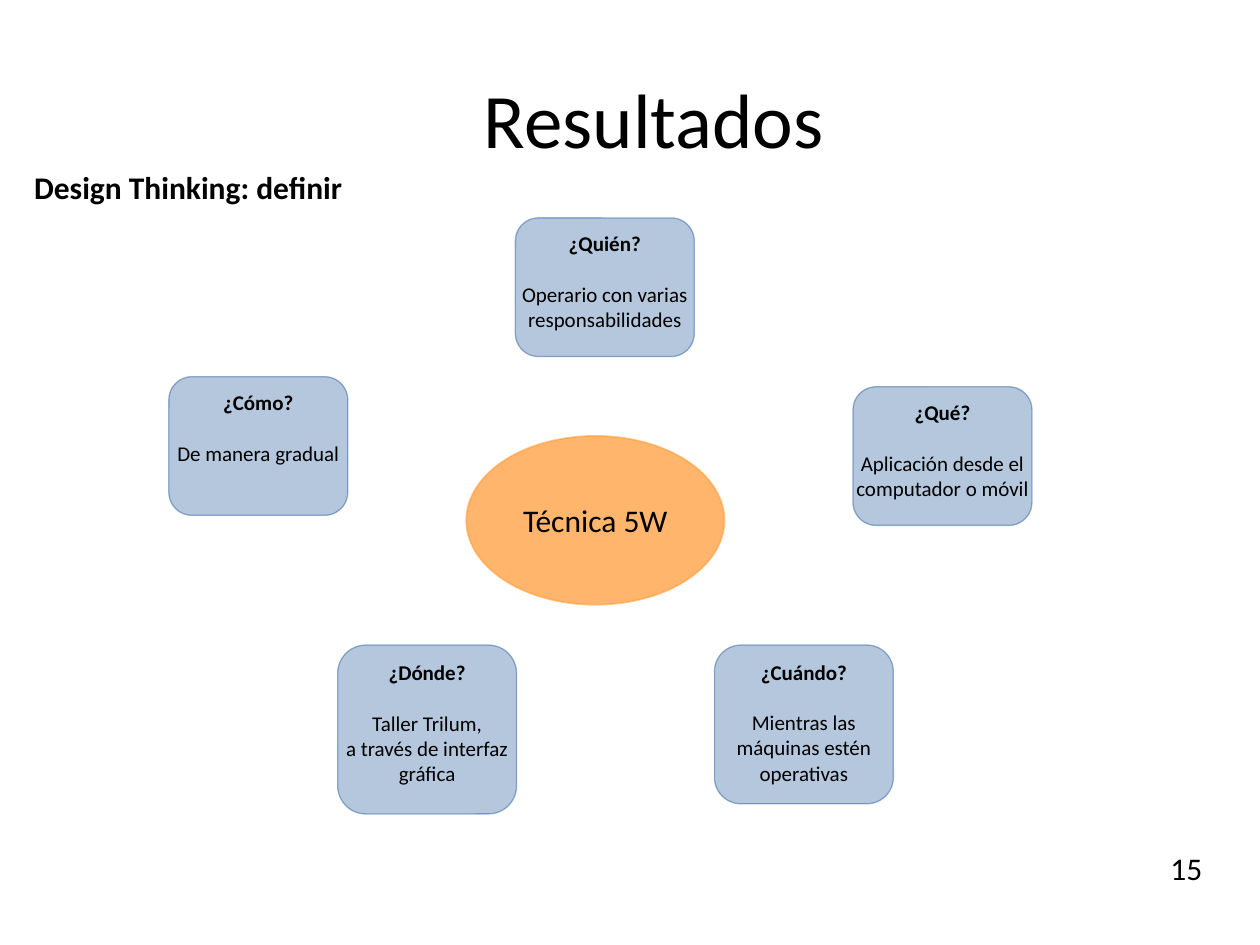
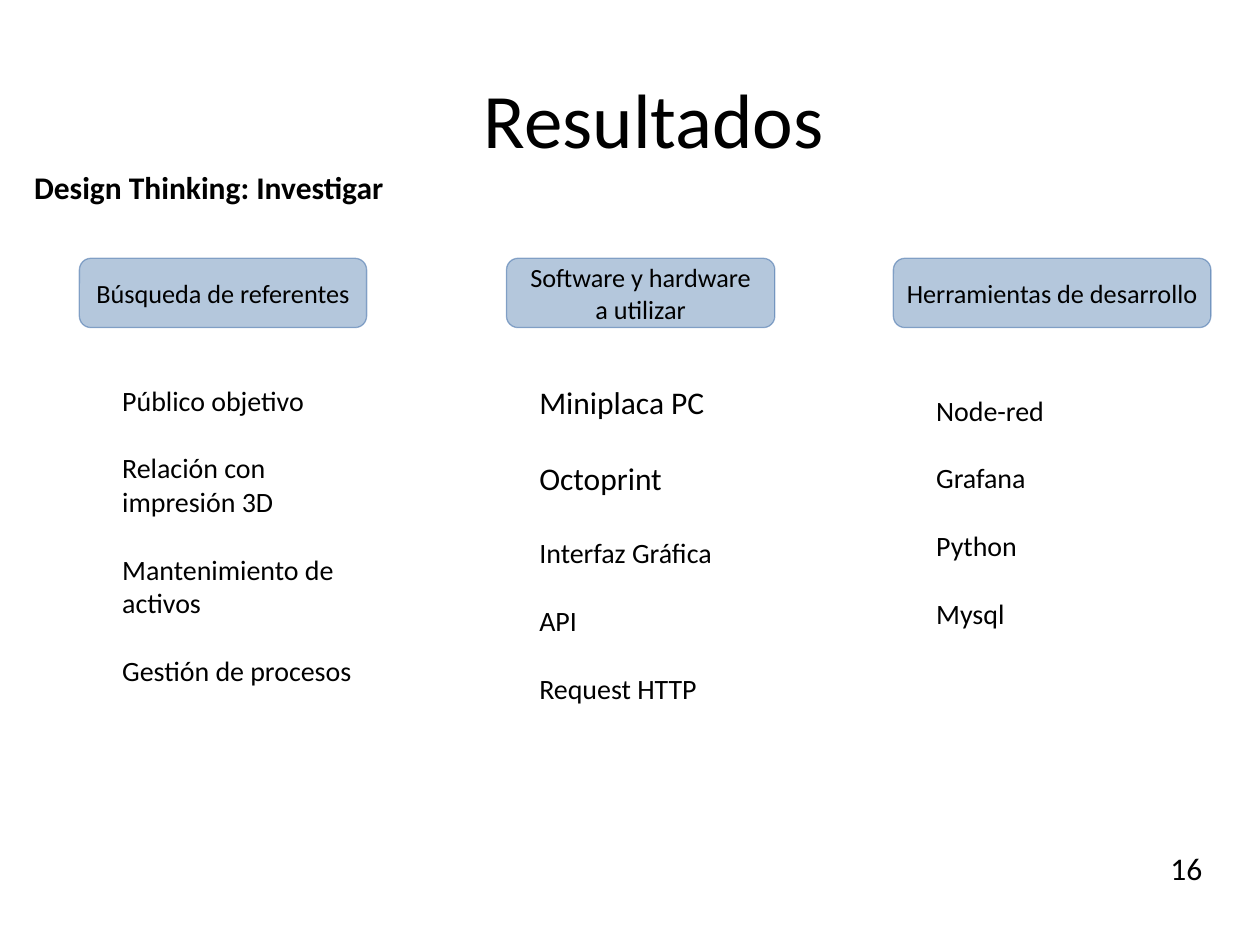
from lxml.etree import SubElement
from pptx import Presentation
from pptx.dml.color import RGBColor
from pptx.enum.shapes import MSO_SHAPE as Shape
from pptx.enum.text import MSO_ANCHOR as Anchor, MSO_AUTO_SIZE as AutoSize, PP_ALIGN as Align
from pptx.oxml.ns import qn
from pptx.util import Inches, Pt

FONT = "Calibri"
BLACK = "000000"
CARD_FILL, CARD_LINE = "B4C7DC", "3465A4"
HUB_FILL, HUB_LINE = "FFB66C", "FF972F"
LINE_HEIGHT = 1.22  # one Calibri line, as a multiple of the font size
TITLE_AND_CONTENT, COMPARISON = 1, 4

# question, answer, left, top, height
QUESTIONS = [
    ("¿Quién?", "Operario con varias\vresponsabilidades", 4.09, 1.73, 1.1),
    ("¿Qué?", "Aplicación desde el\vcomputador o móvil", 6.77, 3.07, 1.1),
    ("¿Cómo?", "De manera gradual", 1.34, 2.99, 1.1),
    ("¿Cuándo?", "Mientras las\vmáquinas estén\voperativas", 5.67, 5.12, 1.26),
    ("¿Dónde?", "Taller Trilum,\va través de interfaz\vgráfica", 2.68, 5.12, 1.34),
]
CARD_WIDTH = 1.42

# heading and its left and width, list left and top, items with sizes
TOPICS = [
    ("Búsqueda de referentes", 0.63, 2.28, 0.63, 2.99,
     [("Público objetivo", 16), ("Relación con impresión 3D", 16),
      ("Mantenimiento de activos", 16), ("Gestión de procesos", 16)]),
    ("Software y hardware\va utilizar", 4.02, 2.13, 3.94, 2.99,
     [("Miniplaca PC", 18), ("Octoprint", 18), ("Interfaz Gráfica", 16),
      ("API", 16), ("Request HTTP", 16)]),
    ("Herramientas de desarrollo", 7.09, 2.52, 7.09, 3.07,
     [("Node-red", 16), ("Grafana", 16), ("Python", 16), ("Mysql", 16)]),
]


def rgb(hex_color):
    return RGBColor.from_string(hex_color)


def place(shape, left, top, width, height):
    shape.left, shape.top = Inches(left), Inches(top)
    shape.width, shape.height = Inches(width), Inches(height)


def write(frame, lines, align=Align.LEFT, anchor=Anchor.TOP, wrap=False):
    """Fill a text frame with (text, size, bold) lines, a blank line's height apart."""
    frame.word_wrap = wrap
    frame.auto_size = AutoSize.NONE
    frame.vertical_anchor = anchor
    for index, (text, size, bold) in enumerate(lines):
        paragraph = frame.paragraphs[0] if index == 0 else frame.add_paragraph()
        paragraph.text = text
        paragraph.alignment = align
        paragraph.space_before = Pt(0)
        if index < len(lines) - 1:
            paragraph.space_after = Pt(round(size * LINE_HEIGHT, 1))
        font = paragraph.font
        font.name, font.size, font.bold = FONT, Pt(size), bold
        font.color.rgb = rgb(BLACK)


def remove_bullets(frame):
    for paragraph in frame.paragraphs:
        properties = paragraph._p.get_or_add_pPr()
        properties.set("marL", "0")
        properties.set("indent", "0")
        SubElement(properties, qn("a:buNone"))


def add_outlined(slide, kind, box, fill, line, line_width):
    """Add a filled shape with a half-transparent outline."""
    shape = slide.shapes.add_shape(kind, *map(Inches, box))
    shape.shadow.inherit = False
    shape.fill.solid()
    shape.fill.fore_color.rgb = rgb(fill)
    shape.line.color.rgb = rgb(line)
    shape.line.width = Pt(line_width)
    line_color = shape._element.spPr.find(f"{qn('a:ln')}//{qn('a:srgbClr')}")
    SubElement(line_color, qn("a:alpha")).set("val", "50000")
    return shape


def add_card(slide, box, lines, anchor=Anchor.TOP):
    card = add_outlined(slide, Shape.ROUNDED_RECTANGLE, box, CARD_FILL, CARD_LINE, 0)
    write(card.text_frame, lines, Align.CENTER, anchor)


def add_hub(slide, box, label):
    hub = add_outlined(slide, Shape.OVAL, box, HUB_FILL, HUB_LINE, 1)
    write(hub.text_frame, [(label, 18, False)], Align.CENTER, Anchor.MIDDLE)


def fill_list(placeholder, box, items):
    place(placeholder, *box)
    frame = placeholder.text_frame
    write(frame, [(text, size, False) for text, size in items], wrap=True)
    frame.margin_left = Inches(0.34)
    remove_bullets(frame)


def start_slide(prs, layout, stage, number):
    """Add a slide with the shared title, stage heading and page number."""
    slide = prs.slides.add_slide(prs.slide_layouts[layout])
    title = slide.shapes.title
    place(title, 0.69, 0.31, 9, 1.25)
    write(title.text_frame, [("Resultados", 44, False)], Align.CENTER, Anchor.MIDDLE, True)

    heading = slide.placeholders[1]
    place(heading, 0.17, 1.28, 4.63, 1)
    write(heading.text_frame, [(f"Design Thinking: {stage}", 18, True)], wrap=True)
    remove_bullets(heading.text_frame)

    page = slide.shapes.add_textbox(Inches(9.19), Inches(6.69), Inches(0.6), Inches(0.4))
    write(page.text_frame, [(str(number), 18, False)])
    return slide


def build_define(prs):
    slide = start_slide(prs, TITLE_AND_CONTENT, "definir", 15)
    add_hub(slide, (3.7, 3.46, 2.05, 1.34), "Técnica 5W")
    for question, answer, left, top, height in QUESTIONS:
        add_card(slide, (left, top, CARD_WIDTH, height),
                 [(question, 12, True), (answer, 12, False)])


def build_research(prs):
    slide = start_slide(prs, COMPARISON, "Investigar", 16)
    for index, (topic, left, width, list_left, list_top, items) in enumerate(TOPICS, 2):
        add_card(slide, (left, 2.05, width, 0.55), [(topic, 15, False)], Anchor.MIDDLE)
        fill_list(slide.placeholders[index], (list_left, list_top, 2.36, 3), items)


def main():
    prs = Presentation()
    prs.slide_width, prs.slide_height = Inches(10), Inches(7.5)
    build_define(prs)
    build_research(prs)
    prs.save("out.pptx")


if __name__ == "__main__":
    main()
